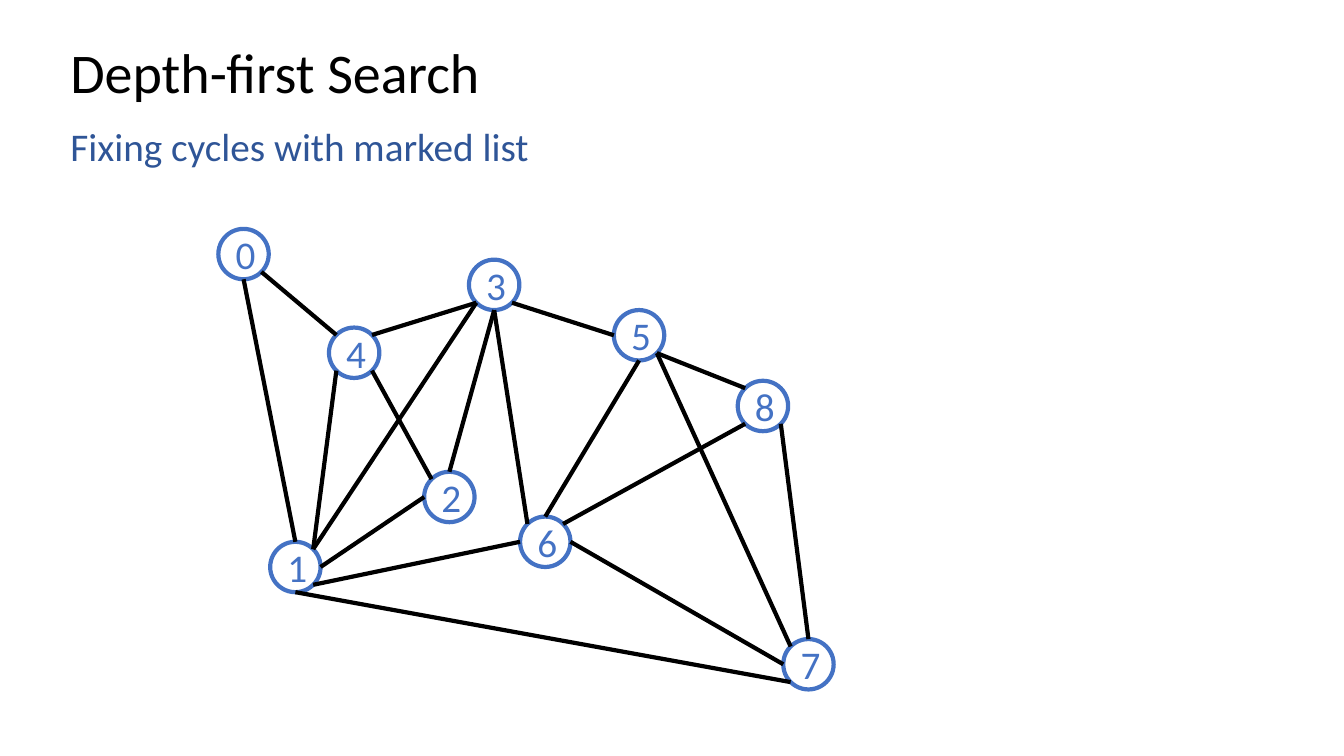
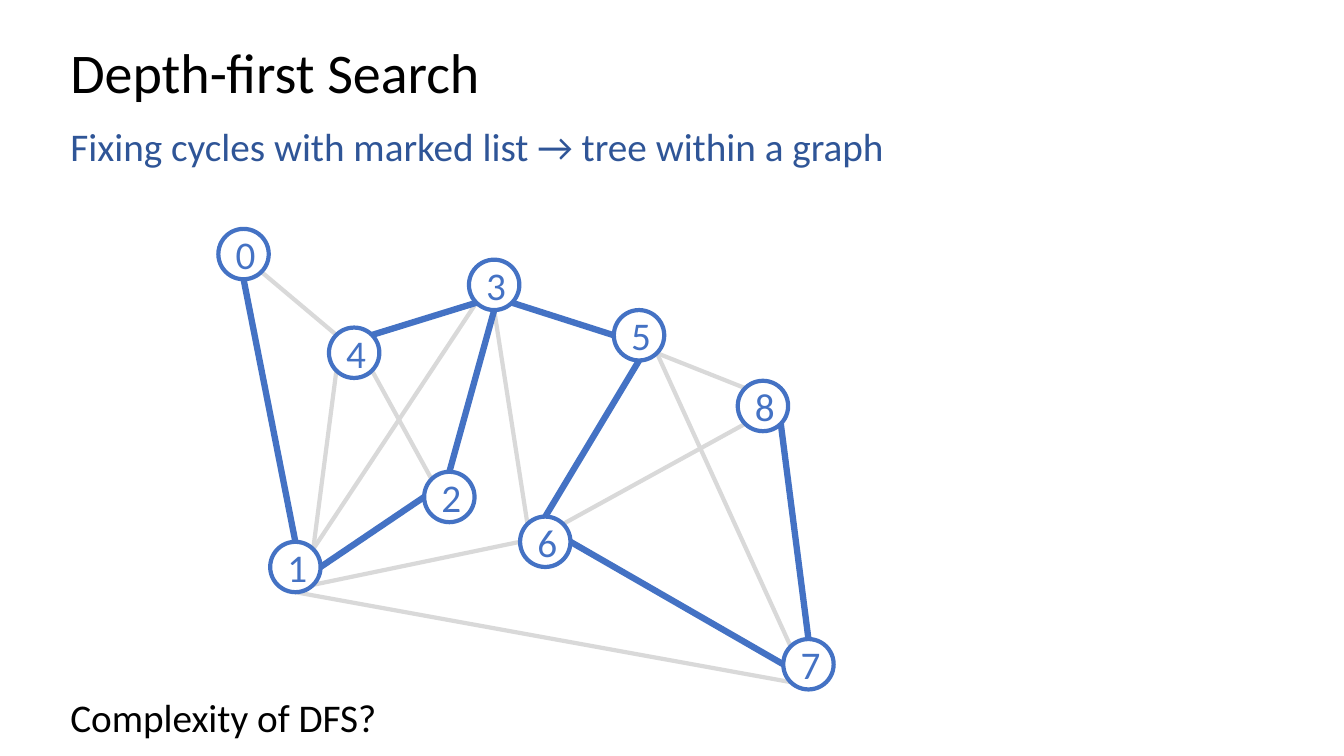
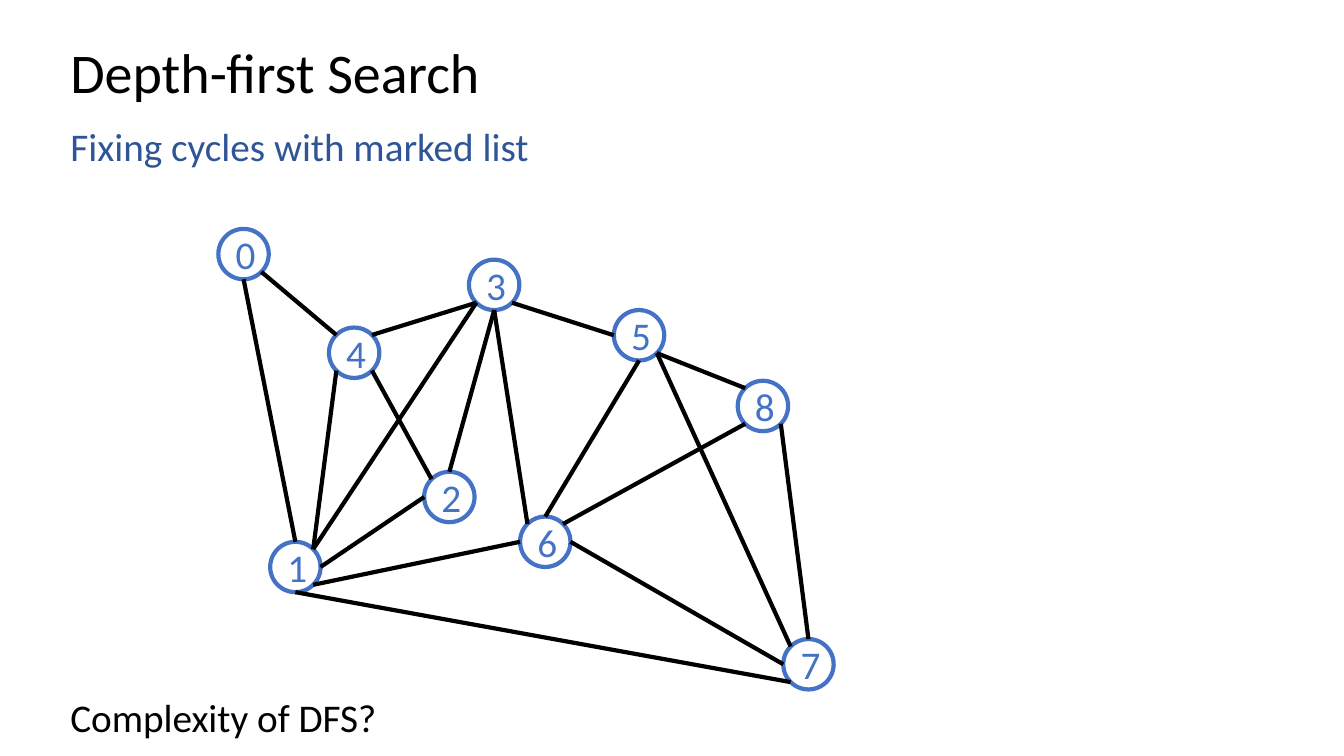
import math

import lxml.etree
import pptx
import pptx.dml.color
import pptx.enum.shapes
import pptx.enum.text
import pptx.oxml.ns
import pptx.util

Pt = pptx.util.Pt
ALIGN = pptx.enum.text.PP_ALIGN
ANCHOR = pptx.enum.text.MSO_ANCHOR

# Shared look
FONT = "Calibri"
BLACK, WHITE, BLUE, NAVY, GREY = "000000", "FFFFFF", "4472C4", "2F5597", "D9D9D9"
LEFT, WIDTH = 43.2, 828
RADIUS = 18

# Node centres
NODES = {
    "0": (174, 181.5), "1": (211, 405), "2": (321, 355),
    "3": (353, 203.5), "4": (253, 252), "5": (456.5, 239.5),
    "6": (389.5, 387), "7": (577.5, 474.5), "8": (545, 290),
}

# Edges: node and compass point at each end
TREE = [
    ("0", "S", "1", "N"), ("1", "E", "2", "W"), ("3", "S", "2", "N"),
    ("3", "SW", "4", "NE"), ("3", "SE", "5", "W"), ("5", "S", "6", "N"),
    ("6", "E", "7", "W"), ("8", "SE", "7", "N"),
]
REST = [
    ("0", "SE", "4", "NW"), ("1", "NE", "4", "SW"), ("2", "NW", "4", "SE"),
    ("3", "SW", "1", "NE"), ("3", "S", "6", "NW"), ("5", "SE", "8", "NW"),
    ("6", "NE", "8", "SW"), ("5", "SE", "7", "NW"), ("6", "W", "1", "SE"),
    ("7", "SW", "1", "S"),
]
POINTS = ["E", "SE", "S", "SW", "W", "NW", "N", "NE"]


def color(code):
    return pptx.dml.color.RGBColor.from_string(code)


def write(frame, text, size, code):
    frame.text = text
    para = frame.paragraphs[0]
    font = para.runs[0].font
    font.name, font.size = FONT, Pt(size)
    font.color.rgb = color(code)
    return para


def label(slide, text, top, height, size, code, anchor=ANCHOR.TOP):
    box = slide.shapes.add_textbox(Pt(LEFT), Pt(top), Pt(WIDTH), Pt(height))
    frame = box.text_frame
    frame.word_wrap = True
    frame.vertical_anchor = anchor
    write(frame, text, size, code).line_spacing = 0.9


def node(slide, name):
    x, y = NODES[name]
    shape = slide.shapes.add_shape(
        pptx.enum.shapes.MSO_SHAPE.OVAL,
        Pt(x - RADIUS), Pt(y - RADIUS), Pt(2 * RADIUS), Pt(2 * RADIUS))
    shape.shadow.inherit = False
    shape.fill.solid()
    shape.fill.fore_color.rgb = color(WHITE)
    shape.line.color.rgb = color(BLUE)
    shape.line.width = Pt(3)
    shape.text_frame.vertical_anchor = ANCHOR.MIDDLE
    write(shape.text_frame, name, 28, BLUE).alignment = ALIGN.CENTER
    return shape


def rim(name, point):
    x, y = NODES[name]
    angle = POINTS.index(point) * math.pi / 4
    return Pt(x + RADIUS * math.cos(angle)), Pt(y + RADIUS * math.sin(angle))


def link(slide, edges, code, width, rings=None):
    for start, out, end, into in edges:
        line = slide.shapes.add_connector(
            pptx.enum.shapes.MSO_CONNECTOR.STRAIGHT,
            *rim(start, out), *rim(end, into))
        line.line.color.rgb = color(code)
        line.line.width = Pt(width)
        props = line._element.spPr
        lxml.etree.SubElement(props, pptx.oxml.ns.qn("a:effectLst"))
        # The top is the one site that ovals and rectangles number alike
        if rings and into == "N":
            line.end_connect(rings[end], 0)


def graph(slide, marked):
    # Unused edges lie behind the nodes when the tree is marked
    if marked:
        link(slide, REST, GREY, 3)
    rings = {name: node(slide, name) for name in NODES}
    if marked:
        link(slide, TREE, BLUE, 4.5, rings)
    else:
        link(slide, REST + TREE, BLACK, 3, rings)


def page(deck, heading, marked=False, question=None):
    slide = deck.slides.add_slide(deck.slide_layouts[6])
    label(slide, "Depth-first Search", 28.8, 49.7, 40, BLACK, ANCHOR.MIDDLE)
    graph(slide, marked)
    label(slide, heading, 87.8, 40, 28, NAVY)
    if question:
        label(slide, question, 495.4, 40, 28, BLACK)


def main():
    deck = pptx.Presentation()
    deck.slide_width, deck.slide_height = Pt(960), Pt(540)
    heading = "Fixing cycles with marked list"
    question = "Complexity of DFS?"
    page(deck, heading)
    page(deck, heading + " → tree within a graph", True, question)
    page(deck, heading, question=question)
    deck.save("out.pptx")


if __name__ == "__main__":
    main()
